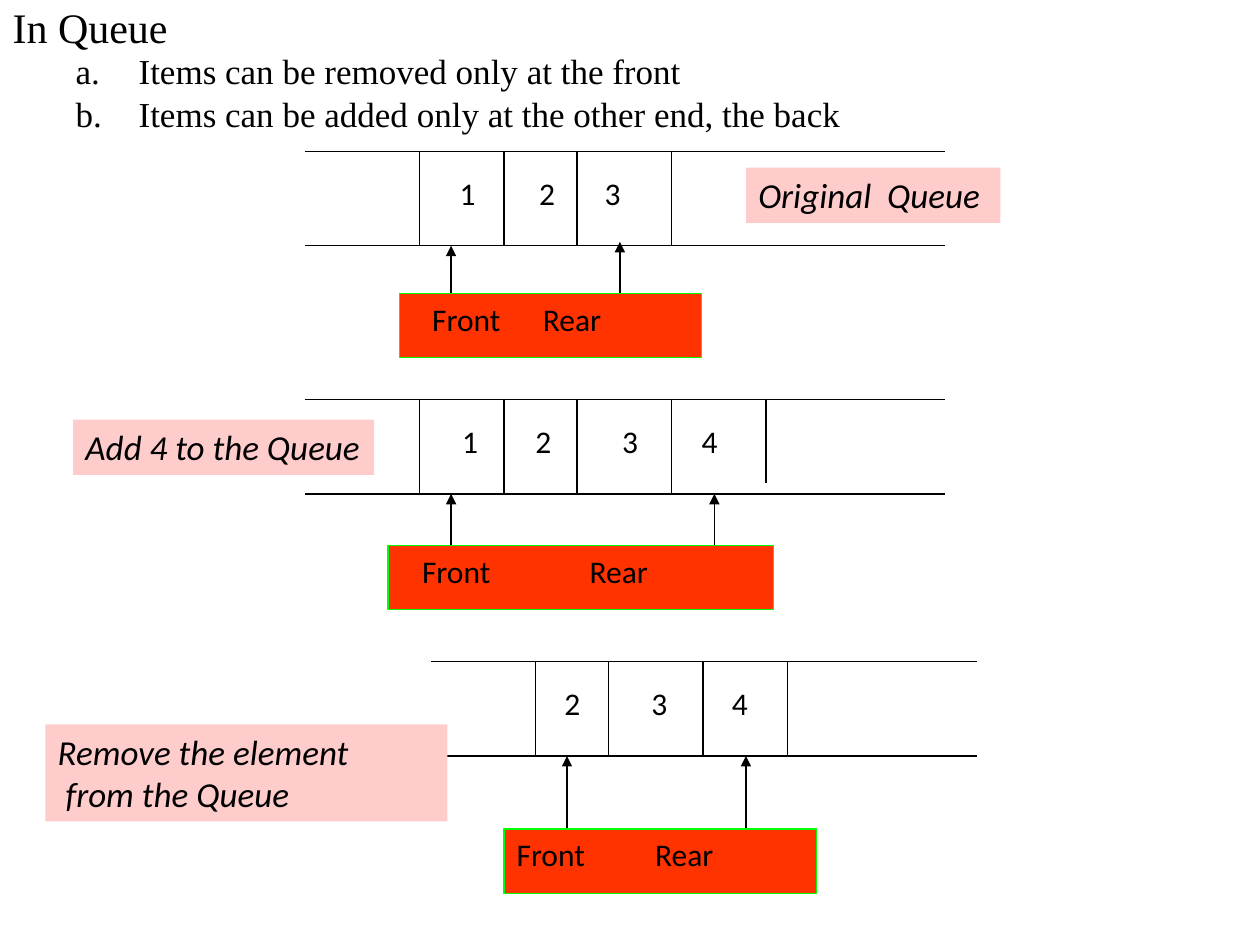
from lxml import etree
from pptx import Presentation
from pptx.dml.color import RGBColor
from pptx.enum import shapes, text
from pptx.oxml.ns import qn
from pptx.util import Inches, Pt


def paint(color_format, hex_color):
    color_format.rgb = RGBColor.from_string(hex_color)


def draw_line(x1, y1, x2, y2, arrow=False):
    line = slide.shapes.add_connector(
        shapes.MSO_CONNECTOR.STRAIGHT, Inches(x1), Inches(y1), Inches(x2), Inches(y2))
    line.line.width = Pt(0.75)
    paint(line.line.color, "000000")
    if arrow:
        etree.SubElement(line.line._get_or_add_ln(), qn("a:tailEnd"), type="triangle")
    etree.SubElement(line._element.spPr, qn("a:effectLst"))


prs = Presentation()
prs.slide_width, prs.slide_height = Inches(10), Inches(7.5)
slide = prs.slides.add_slide(prs.slide_layouts[1])

# Title and lettered rules
title, rules = slide.placeholders
title.text_frame.text = "In Queue"
rules.text_frame.text = ("Items can be removed only at the front\n"
                         "Items can be added only at the other end, the back")
for holder, top, height, size in ((title, -0.04, 0.48, 24), (rules, 0.34, 0.78, 20)):
    holder.left, holder.top = Inches(0), Inches(top)
    holder.width, holder.height = Inches(9.59), Inches(height)
    frame = holder.text_frame
    frame.auto_size = text.MSO_AUTO_SIZE.NONE
    frame.vertical_anchor = text.MSO_ANCHOR.TOP
    for paragraph in frame.paragraphs:
        paragraph.alignment = text.PP_ALIGN.LEFT
        paragraph.space_before = Pt(0)
        font = paragraph.runs[0].font
        font.name, font.size = "Times New Roman", Pt(size)
        paint(font.color, "000000")
for rule in rules.text_frame.paragraphs:
    rule.level = 1
    rule.space_before = Pt(1)
    properties = rule._p.get_or_add_pPr()
    properties.set("marL", str(Inches(1)))
    properties.set("indent", str(Inches(-0.5)))
    etree.SubElement(properties, qn("a:buAutoNum"), type="alphaLcPeriod")

# Queues: rails (left, right, top), walls, item and pointer positions
QUEUE_HEIGHT = 0.75
queues = [
    dict(rails=(2.42, 7.5, 1.2), walls=(3.33, 4, 4.58, 5.33),
         items="123", item_xs=(3.65, 4.28, 4.8), arrows=((3.58, 1.95), (4.92, 1.92)),
         pointers=(3.17, 2.33, 2.4), pointer_xs=(3.43, 4.31)),
    dict(rails=(2.42, 7.5, 3.17), walls=(3.33, 4, 4.58, 5.33),
         items="1234", item_xs=(3.67, 4.25, 4.94, 5.57), arrows=((3.58, 3.92), (5.67, 3.92)),
         pointers=(3.08, 4.33, 3.06), pointer_xs=(3.35, 4.68)),
    dict(rails=(3.42, 7.75, 5.25), walls=(4.25, 4.83, 5.58, 6.25),
         items="234", item_xs=(4.48, 5.17, 5.81), arrows=((4.5, 6), (5.92, 6)),
         pointers=(4, 6.58, 2.48), pointer_xs=(4.1, 5.2)),
]
for queue in queues:
    left, right, top = queue["rails"]
    bottom = top + QUEUE_HEIGHT
    for y in (top, bottom):
        draw_line(left, y, right, y)
    for x in queue["walls"]:
        draw_line(x, top, x, bottom)

    box_left, box_top, box_width = queue["pointers"]
    for x, tip in queue["arrows"]:
        draw_line(x, box_top, x, tip, arrow=True)

    pointer_box = slide.shapes.add_shape(
        shapes.MSO_SHAPE.RECTANGLE, Inches(box_left), Inches(box_top),
        Inches(box_width), Inches(0.51))
    pointer_box.shadow.inherit = False
    pointer_box.fill.solid()
    paint(pointer_box.fill.fore_color, "FF3300")
    paint(pointer_box.line.color, "00FF00")
    pointer_box.line.width = Pt(0.75)

    items_left = queue["item_xs"][0] - 0.1
    items_box = slide.shapes.add_textbox(
        Inches(items_left), Inches(top + 0.13), Inches(2.5), Inches(0.4))

    # Words start at tab stops measured from the first word
    for box, start, words, xs in (
            (pointer_box, box_left, ("Front", "Rear"), queue["pointer_xs"]),
            (items_box, items_left, queue["items"], queue["item_xs"])):
        frame = box.text_frame
        frame.word_wrap = True
        frame.vertical_anchor = text.MSO_ANCHOR.TOP
        frame.margin_left = Inches(xs[0] - start)
        frame.text = "\t".join(words)
        paragraph = frame.paragraphs[0]
        paragraph.alignment = text.PP_ALIGN.LEFT
        tabs = etree.SubElement(paragraph._p.get_or_add_pPr(), qn("a:tabLst"))
        for x in xs[1:]:
            etree.SubElement(tabs, qn("a:tab"), pos=str(Inches(x - xs[0])), algn="l")
        for run in paragraph.runs:
            run.font.name, run.font.size = "Calibri", Pt(18)
            paint(run.font.color, "000000")

# Wall behind the added item
draw_line(6.08, 3.17, 6.08, 3.83)

# Captions
for caption, left, top, width, height in (
        ("Original  Queue", 5.92, 1.33, 2.02, 0.44),
        ("Add 4 to the Queue", 0.58, 3.33, 2.39, 0.44),
        ("Remove the element\n from the Queue", 0.36, 5.75, 3.19, 0.77)):
    caption_box = slide.shapes.add_shape(
        shapes.MSO_SHAPE.RECTANGLE, Inches(left), Inches(top), Inches(width), Inches(height))
    caption_box.shadow.inherit = False
    caption_box.fill.solid()
    paint(caption_box.fill.fore_color, "FFCCCC")
    caption_box.line.fill.background()
    frame = caption_box.text_frame
    frame.word_wrap = True
    frame.vertical_anchor = text.MSO_ANCHOR.TOP
    frame.margin_right = 0
    frame.text = caption
    for paragraph in frame.paragraphs:
        paragraph.alignment = text.PP_ALIGN.LEFT
        font = paragraph.runs[0].font
        font.name, font.size, font.italic = "Calibri", Pt(20), True
        paint(font.color, "000000")

prs.save("out.pptx")
